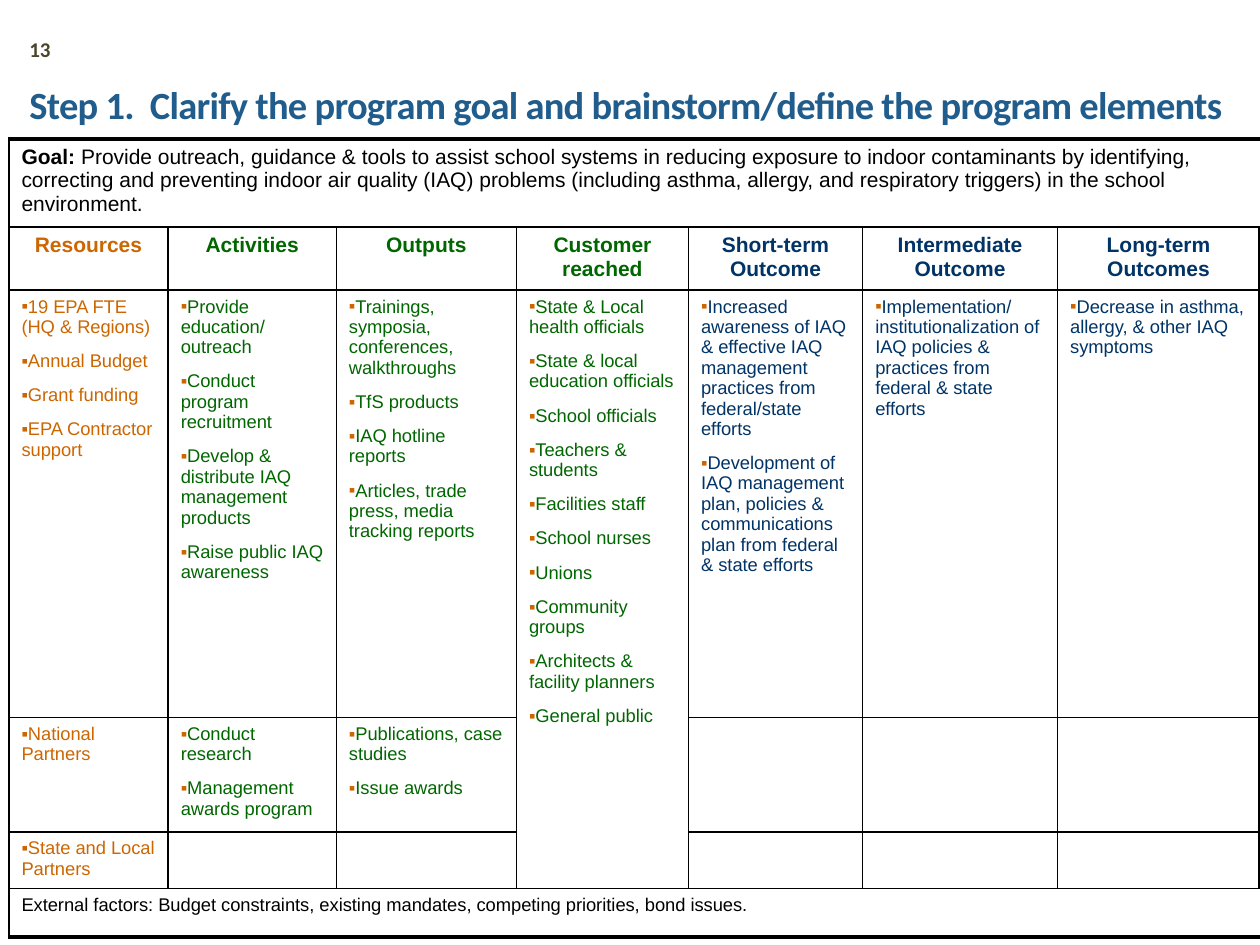
import pptx
import pptx.dml.color
import pptx.enum.text
import pptx.oxml
import pptx.oxml.ns
import pptx.util
from pptx.util import Cm, Pt

COLORS = {
    "number": "4A452A", "title": "215D8C", "text": "000000",
    "orange": "CC6600", "green": "006600", "navy": "003366",
}
PAGE_NUMBER = "13"
# The closing space belongs to the centred title line
TITLE = "Step 1.  Clarify the program goal and brainstorm/define the program elements "
GOAL_LABEL = "Goal: "
GOAL = ("Provide outreach, guidance & tools to assist school systems in reducing exposure "
        "to indoor contaminants by identifying, correcting and preventing indoor air quality "
        "(IAQ) problems (including asthma, allergy, and respiratory triggers) in the school "
        "environment.")
FACTORS = ("External factors: Budget constraints, existing mandates, "
           "competing priorities, bond issues.")

# Heading, colour, width in cm, then the bullets of each row
COLUMNS = [
    ("Resources", "orange", 3.21, [
        ["19 EPA FTE (HQ & Regions)", "Annual Budget", "Grant funding", "EPA Contractor support"],
        ["National Partners"],
        ["State and Local Partners"]]),
    ("Activities", "green", 3.39, [
        ["Provide education/ outreach", "Conduct program recruitment",
         "Develop & distribute IAQ management products", "Raise public IAQ awareness"],
        ["Conduct research", "Management awards program"]]),
    ("Outputs", "green", 3.63, [
        ["Trainings, symposia, conferences, walkthroughs", "TfS products",
         "IAQ hotline reports", "Articles, trade press, media tracking reports"],
        ["Publications, case studies", "Issue awards"]]),
    ("Customer reached", "green", 3.47, [
        ["State & Local health officials", "State & local education officials",
         "School officials", "Teachers & students", "Facilities staff", "School nurses",
         "Unions", "Community groups", "Architects & facility planners", "General public"]]),
    ("Short-term Outcome", "navy", 3.51, [
        ["Increased awareness of IAQ & effective IAQ management practices from "
         "federal/state efforts",
         "Development of IAQ management plan, policies & communications plan from "
         "federal & state efforts"]]),
    ("Intermediate Outcome", "navy", 3.93, [
        ["Implementation/ institutionalization of IAQ policies & practices from "
         "federal & state efforts"]]),
    ("Long-term Outcomes", "navy", 4.07, [
        ["Decrease in asthma, allergy, & other IAQ symptoms"]]),
]
ROW_HEIGHTS = [1.69, 1.2, 8.61, 2.27, 1.07, 0.98]
LAST_ROW, LAST_COLUMN = len(ROW_HEIGHTS) - 1, len(COLUMNS) - 1
# First row, first column, last row, last column
MERGES = [(0, 0, 0, LAST_COLUMN), (2, 3, 4, 3), (LAST_ROW, 0, LAST_ROW, LAST_COLUMN)]
THIN, THICK = Pt(1), Pt(2.25)


def set_font(font, size, color, bold=None, name="Arial"):
    font.name, font.size, font.bold = name, Pt(size), bold
    font.color.rgb = pptx.dml.color.RGBColor.from_string(COLORS[color])


def add_text_box(slide, text, left, top, width, height, size, color, align, anchor):
    frame = slide.shapes.add_textbox(Cm(left), Cm(top), Cm(width), Cm(height)).text_frame
    frame.word_wrap = True
    frame.vertical_anchor = anchor
    paragraph = frame.paragraphs[0]
    paragraph.alignment = align
    paragraph.add_run().text = text
    set_font(paragraph.font, size, color, True, "Calibri")
    return frame


def add_bullet(paragraph):
    properties = paragraph._p.get_or_add_pPr()
    properties.set("marL", "0")
    properties.set("indent", "0")
    namespace = pptx.oxml.ns.nsdecls("a")
    for xml in (f'<a:buClr {namespace}><a:srgbClr val="{COLORS["orange"]}"/></a:buClr>',
                f'<a:buFont {namespace} typeface="Arial"/>',
                f'<a:buChar {namespace} char="▪"/>'):
        properties.append(pptx.oxml.parse_xml(xml))


def fill_bullets(cell, items, color):
    frame = cell.text_frame
    for index, item in enumerate(items):
        paragraph = frame.add_paragraph() if index else frame.paragraphs[0]
        add_bullet(paragraph)
        if index:
            paragraph.space_before = Pt(7.85)
        paragraph.add_run().text = item
        set_font(paragraph.font, 10.5, color)


def set_borders(cell, row, column):
    region = next((m for m in MERGES if m[0] <= row <= m[2] and m[1] <= column <= m[3]),
                  (row, column, row, column))
    sides = [
        ("L", column == region[1], THIN),
        ("R", column == region[3], THICK if column == LAST_COLUMN else THIN),
        ("T", row == region[0], THICK if row == 0 else THIN),
        ("B", row == region[2], THICK if row == LAST_ROW else THIN),
    ]
    properties = cell._tc.get_or_add_tcPr()
    for side, visible, width in sides:
        paint = (f'<a:solidFill><a:srgbClr val="{COLORS["text"]}"/></a:solidFill>'
                 if visible else "<a:noFill/>")
        properties.append(pptx.oxml.parse_xml(
            f'<a:ln{side} {pptx.oxml.ns.nsdecls("a")} w="{int(width)}">{paint}</a:ln{side}>'))


def build_table(slide):
    widths = [column[2] for column in COLUMNS]
    table = slide.shapes.add_table(
        len(ROW_HEIGHTS), len(COLUMNS), Cm(0.18), Cm(2.8),
        Cm(sum(widths)), Cm(sum(ROW_HEIGHTS))).table
    table.first_row = table.horz_banding = False
    for column, width in zip(table.columns, widths):
        column.width = Cm(width)
    for row, height in zip(table.rows, ROW_HEIGHTS):
        row.height = Cm(height)
    for top, left, bottom, right in MERGES:
        table.cell(top, left).merge(table.cell(bottom, right))
    for row in range(len(ROW_HEIGHTS)):
        for column in range(len(COLUMNS)):
            cell = table.cell(row, column)
            set_borders(cell, row, column)
            cell.fill.background()

    # Goal and external factors
    goal = table.cell(0, 0).text_frame.paragraphs[0]
    for text, bold in ((GOAL_LABEL, True), (GOAL, False)):
        run = goal.add_run()
        run.text, run.font.bold = text, bold
    set_font(goal.font, 12, "text")
    factors = table.cell(LAST_ROW, 0).text_frame.paragraphs[0]
    factors.add_run().text = FACTORS
    set_font(factors.font, 10.5, "text")

    # Headings and bullets
    for column, (heading, color, _, groups) in enumerate(COLUMNS):
        paragraph = table.cell(1, column).text_frame.paragraphs[0]
        paragraph.alignment = pptx.enum.text.PP_ALIGN.CENTER
        paragraph.add_run().text = heading
        set_font(paragraph.font, 12, color, True)
        for row, items in enumerate(groups, start=2):
            fill_bullets(table.cell(row, column), items, color)


def main():
    presentation = pptx.Presentation()
    presentation.slide_width, presentation.slide_height = Cm(25.4), Cm(19.05)
    slide = presentation.slides.add_slide(presentation.slide_layouts[6])
    align, anchor = pptx.enum.text.PP_ALIGN, pptx.enum.text.MSO_ANCHOR

    # Page number and title
    add_text_box(slide, PAGE_NUMBER, 0.18, 0.48, 1.09, 1.02, 12, "number",
                 align.RIGHT, anchor.MIDDLE)
    title = add_text_box(slide, TITLE, 0, -0.64, 25.4, 3.2, 22, "title",
                         align.CENTER, anchor.BOTTOM)
    title.margin_left = title.margin_right = title.margin_top = title.margin_bottom = 0
    title.paragraphs[0].runs[0]._r.get_or_add_rPr().set("spc", "-40")

    build_table(slide)
    presentation.save("out.pptx")


if __name__ == "__main__":
    main()
